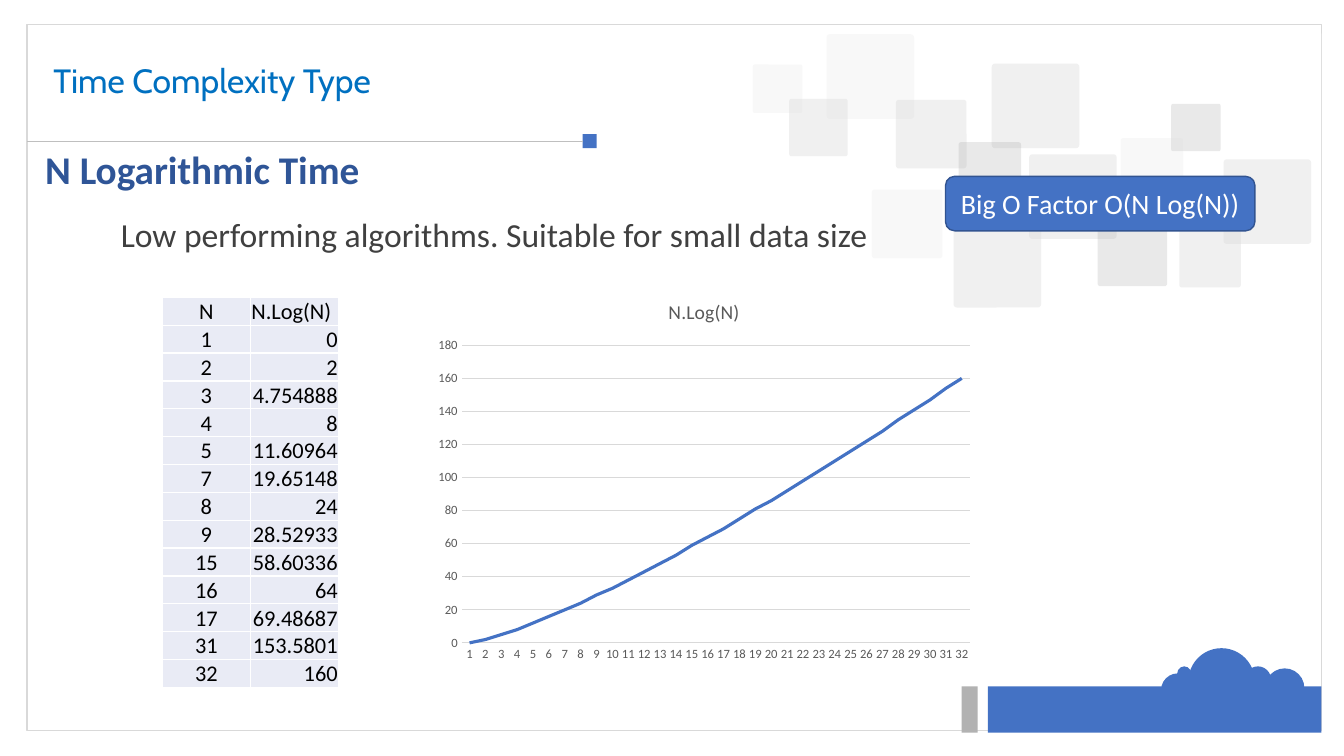
import collections
import math

import lxml.etree
import pptx
import pptx.chart.data
import pptx.dml.color
import pptx.enum.chart
import pptx.enum.shapes
import pptx.enum.text
import pptx.oxml.ns
import pptx.util

Pt = pptx.util.Pt
RGBColor = pptx.dml.color.RGBColor
Shape = pptx.enum.shapes.MSO_SHAPE
Align = pptx.enum.text.PP_ALIGN
Anchor = pptx.enum.text.MSO_ANCHOR
qn = pptx.oxml.ns.qn
Box = collections.namedtuple("Box", "left top width height")

BLUE = RGBColor(0x44, 0x72, 0xC4)
DARK_BLUE = RGBColor(0x2F, 0x55, 0x97)
OUTLINE_BLUE = RGBColor(0x32, 0x54, 0x91)
TITLE_BLUE = RGBColor(0x00, 0x70, 0xC0)
BLACK = RGBColor(0x00, 0x00, 0x00)
WHITE = RGBColor(0xFF, 0xFF, 0xFF)
TEXT_GRAY = RGBColor(0x40, 0x40, 0x40)
CHART_GRAY = RGBColor(0x59, 0x59, 0x59)
TILE_GRAY = RGBColor(0xB2, 0xB2, 0xB2)
RULE_GRAY = RGBColor(0xBF, 0xBF, 0xBF)
GRID_GRAY = RGBColor(0xD9, 0xD9, 0xD9)
CELL_BLUE = RGBColor(0xE9, 0xEB, 0xF5)

# Tiles: left and top within their panel, width, height, colour, opacity in percent
TILES = [
    (77.8, 0.7, 62.6, 60.5, TILE_GRAY, 16), (195.8, 21.6, 62.6, 60.5, TILE_GRAY, 36),
    (168.5, 135.4, 62.6, 60.5, TILE_GRAY, 36), (222.5, 86.4, 62.6, 60.5, TILE_GRAY, 36),
    (127.4, 47.5, 50.4, 49, TILE_GRAY, 36), (110.2, 111.6, 50.4, 49, TILE_GRAY, 16),
    (172.1, 77.8, 44.6, 43.2, BLACK, 16), (324, 50.4, 35.3, 33.8, BLACK, 16),
    (288, 74.9, 44.6, 43.2, TILE_GRAY, 16), (271.4, 132.5, 49.7, 48.2, BLACK, 16),
    (51.1, 46.8, 41.8, 41, TILE_GRAY, 35), (25.2, 22.3, 35.3, 34.6, TILE_GRAY, 16),
    (361.4, 90, 62.6, 60.5, TILE_GRAY, 36), (329.8, 139, 43.9, 42.5, TILE_GRAY, 36),
]
# Cloud puffs: left and top within the cloud, diameter
PUFFS = [(19.4, 0, 47.5), (0, 18, 23.8), (59.8, 13, 18.7), (74.2, 14.4, 28.1), (11.5, 13, 10.1)]
TABLE_SIZES = [1, 2, 3, 4, 5, 7, 8, 9, 15, 16, 17, 31, 32]


def n_log_n(size):
    return size * math.log2(size)


def add_block(shapes, kind, box, fill=None, line=None, opacity=100):
    block = shapes.add_shape(kind, *map(Pt, box))
    block.shadow.inherit = False
    if fill is None:
        block.fill.background()
    else:
        block.fill.solid()
        block.fill.fore_color.rgb = fill
        if opacity < 100:
            color = next(block.element.iter(qn("a:srgbClr")))
            lxml.etree.SubElement(color, qn("a:alpha"), val=str(opacity * 1000))
    if line is None:
        block.line.fill.background()
    else:
        block.line.color.rgb = line
        block.line.width = Pt(1)
    return block


def write(para, text, size, color, font="Calibri", bold=False):
    span = para.add_run()
    span.text = text
    span.font.size = Pt(size)
    span.font.name = font
    span.font.bold = bold
    span.font.color.rgb = color


def add_text(slide, box, text, size, color, bold=False):
    frame = slide.shapes.add_textbox(*map(Pt, box)).text_frame
    frame.word_wrap = True
    para = frame.paragraphs[0]
    write(para, text, size, color, bold=bold)
    return para


def add_frame(slide, box):
    shapes = slide.shapes
    add_block(shapes, Shape.RECTANGLE, box, line=GRID_GRAY)
    # Footer bars
    right, bar_top = box.left + box.width, box.top + 473
    add_block(shapes, Shape.RECTANGLE, Box(right - 238.3, bar_top, 238.3, 33.1), BLUE)
    add_block(shapes, Shape.RECTANGLE, Box(right - 257, bar_top, 11.5, 33.1), TILE_GRAY)
    # Title rule with its end square
    rule_top, square = box.top + 83.5, 10
    marker = Box(box.left + 396.7, rule_top - square / 2, square, square)
    end = add_block(shapes, Shape.RECTANGLE, marker, BLUE)
    rule = shapes.add_connector(pptx.enum.shapes.MSO_CONNECTOR.STRAIGHT, Pt(box.left),
                                Pt(rule_top), Pt(marker.left), Pt(rule_top))
    rule.end_connect(end, 1)
    rule.line.color.rgb = RULE_GRAY
    rule.line.width = Pt(0.5)
    lxml.etree.SubElement(rule.element.spPr, qn("a:effectLst"))


def add_tiles(slide, box):
    group = slide.shapes.add_group_shape()
    for left, top, width, height, color, opacity in TILES:
        place = Box(box.left + left, box.top + top, width, height)
        tile = add_block(group.shapes, Shape.ROUNDED_RECTANGLE, place, color, opacity=opacity)
        tile.adjustments[0] = 0.04
    # Veil that softens the tiles
    add_block(slide.shapes, Shape.RECTANGLE, box, WHITE, opacity=48)


def add_cloud(slide, box):
    group = slide.shapes.add_group_shape()
    for left, top, size in PUFFS:
        place = Box(box.left + left, box.top + top, size, size)
        add_block(group.shapes, Shape.OVAL, place, BLUE)


def add_heading(slide, box):
    title = slide.shapes.title
    title.element.getparent().append(title.element)
    title.left, title.top, title.width, title.height = map(Pt, box)
    title.text_frame.vertical_anchor = Anchor.MIDDLE
    para = title.text_frame.paragraphs[0]
    para.alignment = Align.LEFT
    para.line_spacing = 0.9
    write(para, "Time Complexity Type", 24, TITLE_BLUE, "Cabin")


def add_summary(slide, box):
    body = Box(box.left, box.top + 46.8, box.width, 51.1)
    para = add_text(slide, body, "Low performing algorithms. Suitable for small data size",
                    24, TEXT_GRAY)
    para.line_spacing = 1.07
    para._p.get_or_add_pPr().set("marL", str(Pt(54)))
    add_text(slide, Box(box.left, box.top, 249.1, 41), "N Logarithmic Time",
             28, DARK_BLUE, bold=True)


def add_factor(slide, box):
    badge = add_block(slide.shapes, Shape.ROUNDED_RECTANGLE, box, BLUE, OUTLINE_BLUE)
    badge.text_frame.vertical_anchor = Anchor.MIDDLE
    para = badge.text_frame.paragraphs[0]
    para.alignment = Align.CENTER
    write(para, "Big O Factor O(N Log(N))", 20, WHITE)


def fill_cell(cell, text, align):
    cell.margin_left = cell.margin_right = cell.margin_top = Pt(0.7)
    cell.margin_bottom = 0
    cell.vertical_anchor = Anchor.BOTTOM
    para = cell.text_frame.paragraphs[0]
    para.alignment = align
    write(para, text, 16, BLACK)
    for side in ("a:lnL", "a:lnR", "a:lnT", "a:lnB"):
        border = lxml.etree.SubElement(cell._tc.get_or_add_tcPr(), qn(side), w=str(Pt(1)))
        paint = lxml.etree.SubElement(border, qn("a:solidFill"))
        lxml.etree.SubElement(paint, qn("a:srgbClr"), val=str(WHITE))
    cell.fill.solid()
    cell.fill.fore_color.rgb = CELL_BLUE


def add_values(slide, box):
    rows = [("N", "N.Log(N)")] + [(str(n), f"{n_log_n(n):.7g}") for n in TABLE_SIZES]
    table = slide.shapes.add_table(len(rows), 2, *map(Pt, box)).table
    for index, (size, value) in enumerate(rows):
        table.rows[index].height = Pt(box.height / len(rows))
        fill_cell(table.cell(index, 0), size, Align.CENTER)
        fill_cell(table.cell(index, 1), value, Align.RIGHT if index else Align.LEFT)


def add_curve(slide, box):
    sizes = range(1, 33)
    data = pptx.chart.data.CategoryChartData()
    data.categories = [str(n) for n in sizes]
    data.add_series("N.Log(N)", [round(n_log_n(n)) for n in sizes])
    kind = pptx.enum.chart.XL_CHART_TYPE.LINE
    chart = slide.shapes.add_chart(kind, *map(Pt, box), data).chart
    chart.has_legend = False
    chart.font.name, chart.font.size = "Calibri", Pt(10)
    chart.has_title = True
    write(chart.chart_title.text_frame.paragraphs[0], "N.Log(N)", 14, CHART_GRAY)
    chart.chart_title.include_in_layout = False
    chart.plots[0].vary_by_categories = False
    series = chart.plots[0].series[0]
    series.smooth = False
    series.marker.style = pptx.enum.chart.XL_MARKER_STYLE.NONE
    series.format.line.color.rgb = BLUE
    series.format.line.width = Pt(2.25)
    # Axes
    steps, names = chart.value_axis, chart.category_axis
    for axis in (steps, names):
        axis.major_tick_mark = axis.minor_tick_mark = pptx.enum.chart.XL_TICK_MARK.NONE
        font = axis.tick_labels.font
        font.name, font.size, font.color.rgb = "Calibri", Pt(9), CHART_GRAY
    steps.minimum_scale, steps.maximum_scale, steps.major_unit = 0, 180, 20
    steps.format.line.fill.background()
    for line in (steps.major_gridlines.format.line, names.format.line):
        line.color.rgb = GRID_GRAY
        line.width = Pt(0.75)


def main():
    deck = pptx.Presentation()
    deck.slide_width, deck.slide_height = Pt(960), Pt(540)
    slide = deck.slides.add_slide(deck.slide_layouts[5])
    add_frame(slide, Box(19.4, 17.3, 924.5, 504.7))
    add_tiles(slide, Box(512.6, 23.8, 431.3, 226.1))
    add_cloud(slide, Box(829.4, 463, 102.3, 47.5))
    add_heading(slide, Box(31, 28.8, 896.4, 60.5))
    add_summary(slide, Box(25.2, 100.1, 625.7, 97.9))
    add_factor(slide, Box(675.4, 126, 221, 38.9))
    add_values(slide, Box(115.9, 212.4, 126, 277.2))
    add_curve(slide, Box(305.3, 200.9, 395.3, 277.2))
    deck.save("out.pptx")


if __name__ == "__main__":
    main()
